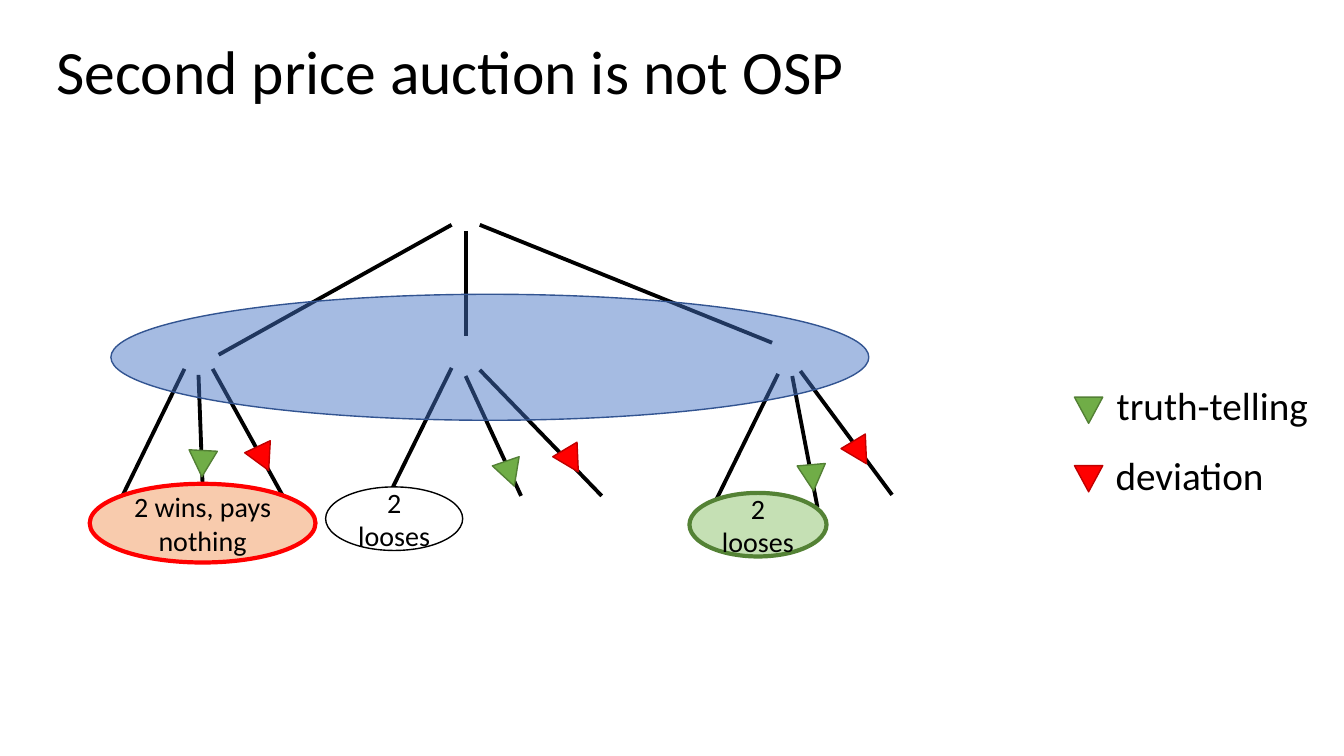
"""Build the slide showing that a second price auction is not OSP."""
from dataclasses import dataclass

import lxml.etree
import pptx
import pptx.dml.color
import pptx.enum.shapes
import pptx.enum.text
import pptx.oxml.ns
import pptx.util

Pt = pptx.util.Pt
Shapes = pptx.enum.shapes.MSO_SHAPE
Anchor = pptx.enum.text.MSO_ANCHOR
Align = pptx.enum.text.PP_ALIGN
qn = pptx.oxml.ns.qn


@dataclass(frozen=True)
class Theme:
    font: str = "Calibri"
    title_size: float = 44
    legend_size: float = 28
    outcome_size: float = 20
    branch_width: float = 2.75
    thick_width: float = 3
    thin_width: float = 1
    marker_width: float = 20.2
    marker_height: float = 18.7
    black: str = "000000"
    win: tuple = ("F8CBAD", "FF0000")
    neutral: tuple = ("FFFFFF", "000000")
    loss: tuple = ("C5E0B4", "548235")
    truth: tuple = ("70AD47", "538035")
    deviation: tuple = ("FF0000", "C00000")
    information: tuple = ("4472C4", "325491")
    information_opacity: int = 48


class TreeSlide:
    def __init__(self, slide, theme):
        self.slide = slide
        self.theme = theme

    def color(self, value):
        return pptx.dml.color.RGBColor.from_string(value)

    def set_text(self, frame, text, size, anchor, alignment):
        frame.word_wrap = True
        frame.vertical_anchor = anchor
        paragraph = frame.paragraphs[0]
        paragraph.text = text
        paragraph.alignment = alignment
        paragraph.font.name = self.theme.font
        paragraph.font.size = Pt(size)
        paragraph.font.color.rgb = self.color(self.theme.black)
        return paragraph

    def text(self, box, text, size, anchor=Anchor.TOP):
        shape = self.slide.shapes.add_textbox(*map(Pt, box))
        return self.set_text(shape.text_frame, text, size, anchor, Align.LEFT)

    def shape(self, kind, box, colors, line_width):
        shape = self.slide.shapes.add_shape(kind, *map(Pt, box))
        fill, line = colors
        shape.shadow.inherit = False
        shape.fill.solid()
        shape.fill.fore_color.rgb = self.color(fill)
        shape.line.color.rgb = self.color(line)
        shape.line.width = Pt(line_width)
        return shape

    def branch(self, start, end):
        connector = self.slide.shapes.add_connector(
            pptx.enum.shapes.MSO_CONNECTOR.STRAIGHT, *map(Pt, start + end))
        connector.line.color.rgb = self.color(self.theme.black)
        connector.line.width = Pt(self.theme.branch_width)
        lxml.etree.SubElement(connector.element.spPr, qn("a:effectLst"))

    def outcome(self, box, text, colors, line_width):
        shape = self.shape(Shapes.OVAL, box, colors, line_width)
        self.set_text(shape.text_frame, text, self.theme.outcome_size, Anchor.MIDDLE, Align.CENTER)

    def marker(self, left, top, rotation, colors):
        box = (left, top, self.theme.marker_width, self.theme.marker_height)
        shape = self.shape(Shapes.ISOSCELES_TRIANGLE, box, colors, self.theme.thin_width)
        shape.rotation = rotation

    def legend(self, text, text_left, text_top, marker_top, colors):
        self.text((text_left, text_top, 169, 41), text, self.theme.legend_size)
        self.marker(767.5, marker_top, 180, colors)

    def information_set(self, box):
        shape = self.shape(Shapes.OVAL, box, self.theme.information, self.theme.thin_width)
        color = shape.element.spPr.find(qn("a:solidFill")).find(qn("a:srgbClr"))
        alpha = lxml.etree.SubElement(color, qn("a:alpha"))
        alpha.set("val", str(self.theme.information_opacity * 1000))


BRANCHES = [
    ((322.6, 160.6), (156.2, 253.4)),
    ((332.6, 164.9), (332.6, 239.8)),
    ((342.7, 160.6), (551.5, 244.8)),
    ((131.8, 263.5), (87.8, 353.5)),
    ((141.8, 267.8), (144.7, 345.6)),
    ((151.9, 263.5), (201.6, 353.5)),
    ((322.6, 262.8), (277.9, 353.5)),
    ((332.6, 268.6), (372.2, 354.2)),
    ((342.7, 264.2), (429.8, 354.2)),
    ((555.8, 267.1), (511.2, 357.8)),
    ((565.9, 268.6), (583.9, 362.2)),
    ((571.7, 265), (637.2, 353.5)),
]
TRUTH_MARKERS = [(134.6, 321.8, 183), (354.2, 329, 161), (570.2, 331.9, 175)]
DEVIATION_MARKERS = [(177.8, 318.2, 154.8), (398.2, 319.7, 149.1), (604.1, 313.9, 149.1)]


def main():
    theme = Theme()
    presentation = pptx.Presentation()
    presentation.slide_width = Pt(960)
    presentation.slide_height = Pt(540)
    slide = presentation.slides.add_slide(presentation.slide_layouts[6])
    tree = TreeSlide(slide, theme)

    title = tree.text((33.1, 0.7, 828, 104.4), "Second price auction is not OSP",
                      theme.title_size, Anchor.MIDDLE)
    title.line_spacing = 0.9

    for start, end in BRANCHES:
        tree.branch(start, end)

    tree.outcome((64.1, 345.6, 161.3, 56.2), "2 wins, pays nothing", theme.win, theme.thick_width)
    tree.outcome((232.6, 347.8, 97.9, 45.4), "2 looses", theme.neutral, theme.thin_width)
    tree.outcome((492.5, 352.1, 97.9, 45.4), "2 looses", theme.loss, theme.thick_width)

    for markers, colors in ((TRUTH_MARKERS, theme.truth), (DEVIATION_MARKERS, theme.deviation)):
        for left, top, rotation in markers:
            tree.marker(left, top, rotation, colors)

    tree.legend("truth-telling", 790.6, 268.6, 283.7, theme.truth)
    tree.legend("deviation", 789.8, 319, 332.6, theme.deviation)
    tree.information_set((79.2, 210.2, 541.4, 90))
    presentation.save("out.pptx")


if __name__ == "__main__":
    main()
